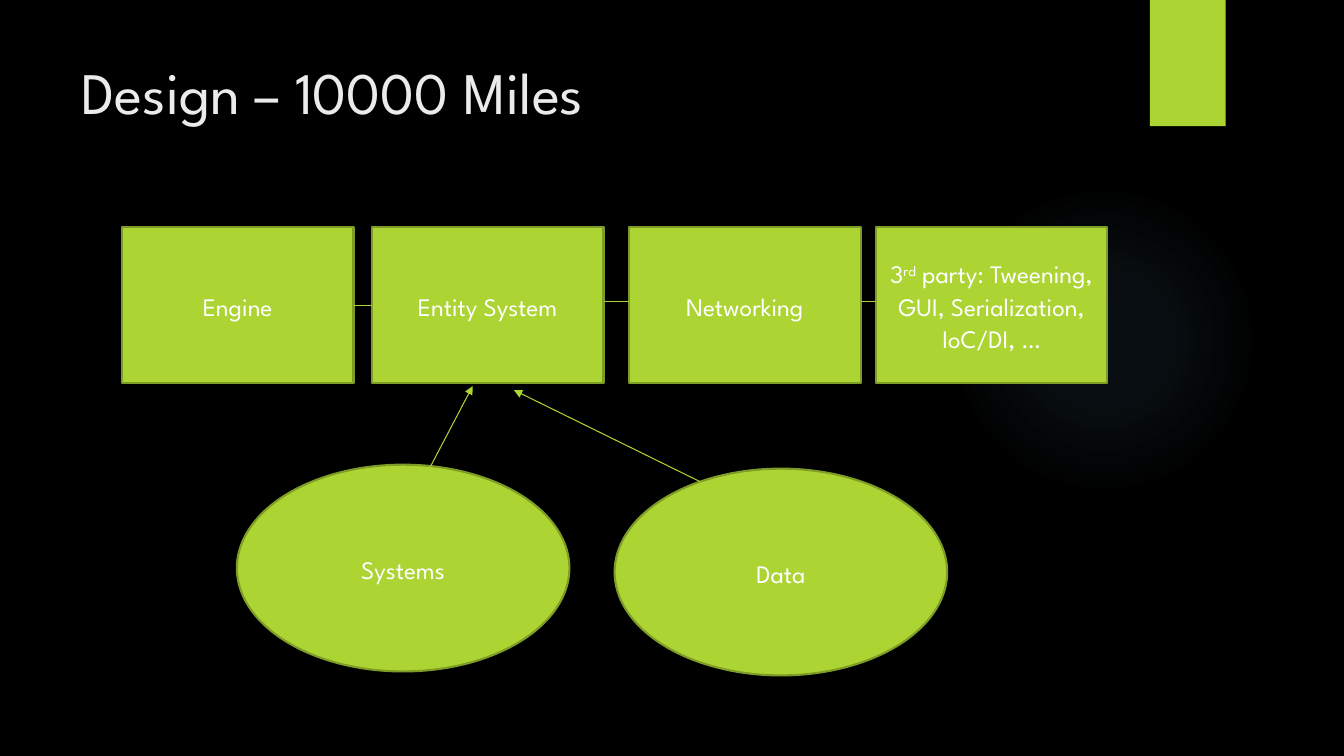
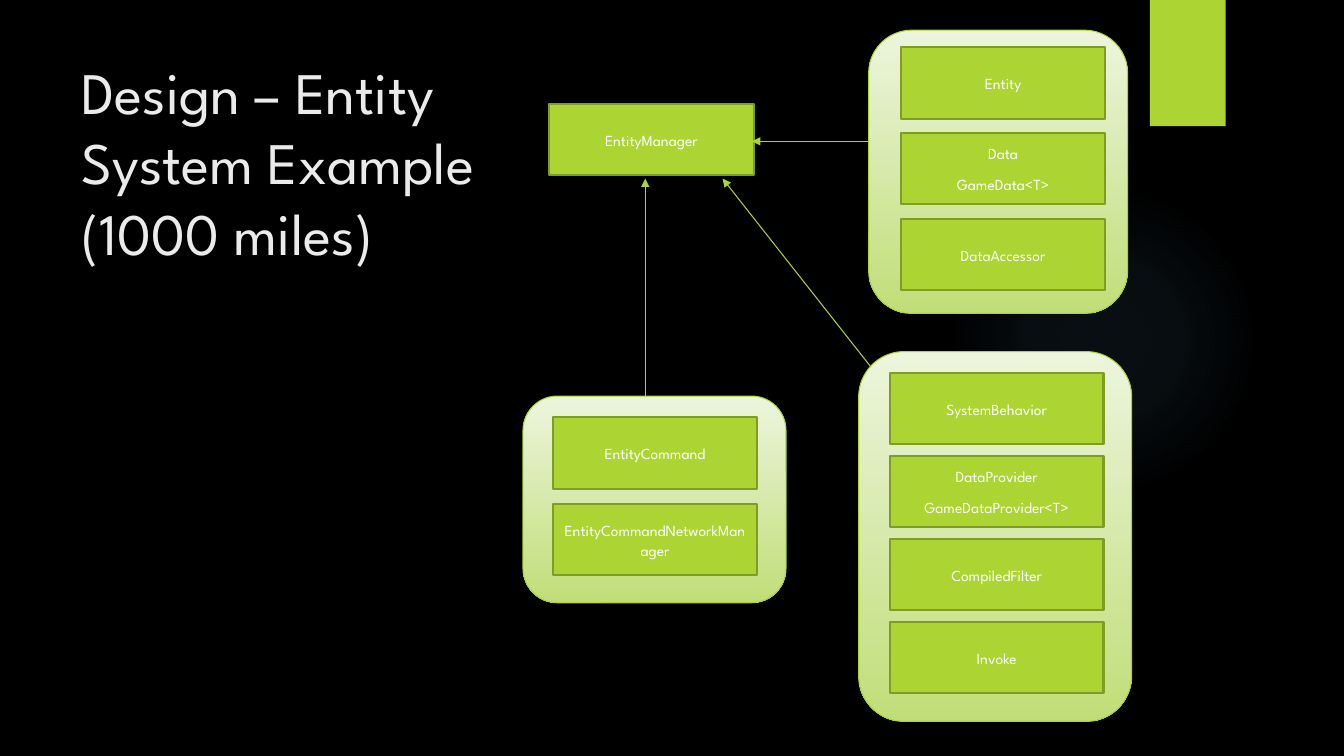
import itertools

import pptx
import pptx.dml.color
import pptx.enum.shapes
import pptx.enum.text
import pptx.oxml
import pptx.oxml.ns
import pptx.util

Cm = pptx.util.Cm
Pt = pptx.util.Pt
qn = pptx.oxml.ns.qn
SHAPES = pptx.enum.shapes.MSO_SHAPE
TEXT = pptx.enum.text

COLORS = {
    "background": "000000",
    "title": "EBEBEB",
    "label": "FFFFFF",
    "accent": "ACD433",
    "edge": "7F9D26",
    "panel_top": "EDF5DD",
    "panel_bottom": "C0DE78",
    "glow": "7AC4F0",
}
FONT = "League Spartan"
LABEL_FORMAT = {
    "alignment": TEXT.PP_ALIGN.CENTER,
    "line_spacing": 1.07,
    "space_after": Pt(8),
}
TITLE_FRAME_FORMAT = {
    "vertical_anchor": TEXT.MSO_ANCHOR.TOP,
    "auto_size": TEXT.MSO_AUTO_SIZE.NONE,
    "word_wrap": True,
}
TITLE_PLACE = {
    "left": Cm(1.8), "top": Cm(1.27), "width": Cm(26.14), "height": Cm(3.89),
}
GLOW_STOPS = [(0, 7), (36, 6), (69, 0)]  # position and opacity, in percent


def rgb(name):
    return pptx.dml.color.RGBColor.from_string(COLORS[name])


def apply_format(target, values):
    for attribute, value in values.items():
        setattr(target, attribute, value)


class Deck:
    def __init__(self):
        self.presentation = pptx.Presentation()
        self.presentation.slide_width = Cm(33.87)
        self.presentation.slide_height = Cm(19.05)
        self.layout = self.presentation.slide_layouts.get_by_name("Title Only")
        background = self.layout.background.fill
        background.solid()
        background.fore_color.rgb = rgb("background")
        apply_format(self.layout.placeholders[0], TITLE_PLACE)
        self.slide = None

    def start_slide(self, heading):
        self.slide = self.presentation.slides.add_slide(self.layout)
        if len(self.presentation.slides) == 1:
            self.draw_backdrop()
        title = self.slide.shapes.title
        title.text_frame.text = heading
        apply_format(title.text_frame, TITLE_FRAME_FORMAT)
        for paragraph in title.text_frame.paragraphs:
            paragraph.alignment = TEXT.PP_ALIGN.LEFT
            self.style_runs(paragraph, 42, "title")

    def draw_backdrop(self):
        """Build the glow and the corner band, then hand them to the layout."""
        glow = self.shape(SHAPES.OVAL, 23.9, 4.65, 7.82, 7.82)
        stops = "".join(
            f'<a:gs pos="{position * 1000}"><a:srgbClr val="{COLORS["glow"]}">'
            f'<a:alpha val="{opacity * 1000}"/></a:srgbClr></a:gs>'
            for position, opacity in GLOW_STOPS
        )
        gradient = pptx.oxml.parse_xml(
            f'<a:gradFill {pptx.oxml.ns.nsdecls("a")}><a:gsLst>{stops}</a:gsLst>'
            '<a:path path="circle"><a:fillToRect l="50000" t="50000" '
            'r="50000" b="50000"/></a:path></a:gradFill>'
        )
        glow.element.spPr.find(qn("a:prstGeom")).addnext(gradient)

        band = self.shape(SHAPES.RECTANGLE, 28.98, 0, 1.91, 3.18)
        self.fill_solid(band)
        for number, part in enumerate((glow, band), start=20):
            part.line.fill.background()
            part.element.nvSpPr.cNvPr.set("id", str(number))
            self.layout.element.cSld.spTree.append(part.element)

    def style_runs(self, paragraph, size, color):
        for run in paragraph.runs:
            apply_format(run.font, {"name": FONT, "size": Pt(size)})
            run.font.color.rgb = rgb(color)

    def shape(self, kind, left, top, width, height):
        shape = self.slide.shapes.add_shape(
            kind, Cm(left), Cm(top), Cm(width), Cm(height)
        )
        shape.shadow.inherit = False
        return shape

    def fill_solid(self, shape):
        shape.fill.solid()
        shape.fill.fore_color.rgb = rgb("accent")

    def outline(self, shape, color, width):
        shape.line.width = Pt(width)
        shape.line.color.rgb = rgb(color)

    def node(self, label, left, top, width, height, size, kind=SHAPES.RECTANGLE):
        """Draw a labelled shape; text between ^ marks is superscript."""
        node = self.shape(kind, left, top, width, height)
        self.fill_solid(node)
        self.outline(node, "edge", 1.5)
        frame = node.text_frame
        frame.word_wrap = True
        frame.text = label.replace("^", "")
        if "^" in label:
            frame.clear()
            for part in label.split("^"):
                frame.paragraphs[0].add_run().text = part
            raised = list(node.element.iter(qn("a:r")))[1::2]
            for run in raised:
                run.get_or_add_rPr().set("baseline", "30000")
        for paragraph in frame.paragraphs:
            apply_format(paragraph, LABEL_FORMAT)
            self.style_runs(paragraph, size, "label")
        return node

    def panel(self, left, top, width, height):
        panel = self.shape(SHAPES.ROUNDED_RECTANGLE, left, top, width, height)
        panel.fill.gradient()
        panel.fill.gradient_angle = 270
        ends = [(0, "panel_top"), (1, "panel_bottom")]
        for stop, (position, color) in zip(panel.fill.gradient_stops, ends):
            stop.position = position
            stop.color.rgb = rgb(color)
        self.outline(panel, "accent", 0.75)

    def stack(self, labels, left, top, width, step):
        for row, label in enumerate(labels):
            self.node(label, left, top + row * step, width, 1.8, 11)

    def link(self, start, end, arrow=True):
        link = self.slide.shapes.add_connector(
            pptx.enum.shapes.MSO_CONNECTOR.STRAIGHT,
            *(Cm(value) for value in (*start, *end)),
        )
        self.outline(link, "accent", 0.75)
        properties = link.element.spPr
        if arrow:
            head = properties.find(qn("a:ln")).makeelement(
                qn("a:tailEnd"), {"type": "triangle"}
            )
            properties.find(qn("a:ln")).append(head)
        properties.append(properties.makeelement(qn("a:effectLst"), {}))


def draw_overview(deck):
    deck.start_slide("Design – 10000 Miles")
    width = 5.84
    modules = [
        ("Engine", 3.07),
        ("Entity System", 9.37),
        ("Networking", 15.85),
        ("3^rd^ party: Tweening, GUI, Serialization, IoC/DI, …", 22.07),
    ]
    for label, left in modules:
        deck.node(label, left, 5.72, width, 3.94, 18)
    for label, left, top in [("Systems", 5.97, 11.71), ("Data", 15.49, 11.81)]:
        deck.node(label, left, top, 8.38, 5.21, 18, SHAPES.OVAL)

    lefts = [left for _, left in modules]
    for (left, following), level in zip(itertools.pairwise(lefts), (7.7, 7.59, 7.59)):
        deck.link((left + width, level), (following, level), arrow=False)
    deck.link((10.82, 11.81), (11.91, 9.73))
    deck.link((17.65, 12.14), (12.95, 9.83))


def draw_entity_example(deck):
    deck.start_slide("Design – Entity\vSystem Example\v(1000 miles)")
    deck.node("EntityManager", 13.84, 2.62, 5.16, 1.8, 11)

    deck.panel(21.89, 0.76, 6.53, 7.14)
    deck.stack(["Entity", "Data\nGameData<T>", "DataAccessor"],
               22.7, 1.19, 5.16, 2.16)
    deck.panel(13.18, 9.98, 6.63, 5.21)
    deck.stack(["EntityCommand", "EntityCommandNetworkManager"],
               13.93, 10.52, 5.16, 2.18)
    deck.panel(21.64, 8.86, 6.88, 9.32)
    deck.stack(["SystemBehavior", "DataProvider\nGameDataProvider<T>",
                "CompiledFilter", "Invoke"],
               22.43, 9.4, 5.38, 2.09)

    deck.link((16.26, 9.98), (16.26, 4.5))
    deck.link((21.89, 3.56), (18.95, 3.56))
    deck.link((21.95, 9.25), (18.21, 4.5))


def main():
    deck = Deck()
    draw_overview(deck)
    draw_entity_example(deck)
    deck.presentation.save("out.pptx")


if __name__ == "__main__":
    main()
